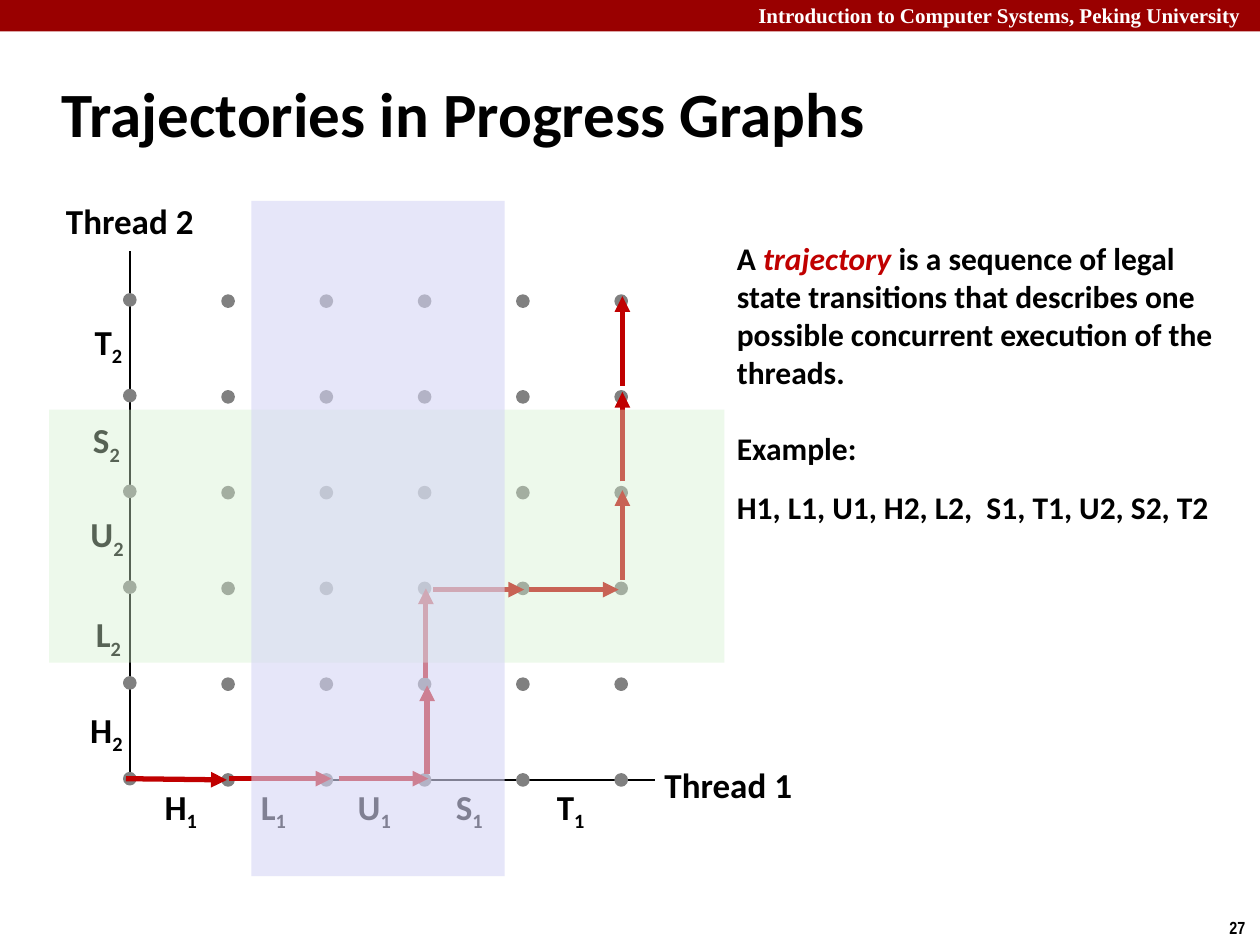
"""Build the slide on trajectories in progress graphs."""
from lxml.etree import SubElement
from pptx import Presentation
from pptx.dml.color import RGBColor
from pptx.enum.shapes import MSO_CONNECTOR as Connector, MSO_SHAPE as Shape
from pptx.enum.text import MSO_ANCHOR as Anchor, PP_ALIGN as Align
from pptx.oxml.ns import qn
from pptx.util import Inches, Pt

COLORS = {
    "black": "000000", "white": "FFFFFF", "banner": "990000", "red": "C00000",
    "dot": "808080", "green": "D5F1CF", "lavender": "D6D6F5",
}
COLORS = {name: RGBColor.from_string(value) for name, value in COLORS.items()}


def add_run(paragraph, text, size, color="black", font="Calibri"):
    run = paragraph.add_run()
    run.text = text
    run.font.name = font
    run.font.size = Pt(size)
    run.font.bold = True
    run.font.color.rgb = COLORS[color]
    return run


def add_line(start, end, color, width):
    line = slide.shapes.add_connector(
        Connector.STRAIGHT, *[Inches(value) for value in (*start, *end)])
    line.line.color.rgb = COLORS[color]
    line.line.width = Pt(width)
    SubElement(line._element.spPr, qn("a:effectLst"))
    return line


presentation = Presentation()
presentation.slide_width = Inches(10)
presentation.slide_height = Inches(7.5)
slide = presentation.slides.add_slide(presentation.slide_layouts[5])

banner = slide.shapes.add_shape(Shape.RECTANGLE, 0, 0, Inches(10), Inches(0.25))
banner.shadow.inherit = False
banner.fill.solid()
banner.fill.fore_color.rgb = COLORS["banner"]
banner.line.fill.background()

title = slide.shapes.title
title.left, title.top = Inches(0.39), Inches(0.48)
title.width, title.height = Inches(8.3), Inches(0.83)
title.text_frame.vertical_anchor = Anchor.MIDDLE
title_paragraph = title.text_frame.paragraphs[0]
title_paragraph.alignment = Align.LEFT
add_run(title_paragraph, "Trajectories in Progress Graphs", 36)

explanation = slide.shapes.add_textbox(
    Inches(5.75), Inches(1.84), Inches(4.17), Inches(2.39))
frame = explanation.text_frame
frame.word_wrap = True
frame.vertical_anchor = Anchor.MIDDLE
definition = frame.paragraphs[0]
add_run(definition, "A ", 18)
add_run(definition, "trajectory", 18, "red").font.italic = True
add_run(definition, " is a sequence of legal state transitions that describes "
        "one possible concurrent execution of the threads.", 18)
for text, gap in [("Example:", 22), ("H1, L1, U1, H2, L2,  S1, T1, U2, S2, T2", 12)]:
    paragraph = frame.add_paragraph()
    paragraph.space_before = Pt(gap)
    add_run(paragraph, text, 18)

origin = (1.03, 6.19)
for axis_end in [(5.2, 6.19), (1.03, 1.99)]:
    add_line(origin, axis_end, "black", 1)

labels = [
    ("Introduction to Computer Systems, Peking University", "", 5.92, -0.03, 4.15, 0.3,
     12, "white", "Times New Roman", Align.LEFT, Anchor.TOP),
    ("27", "", 9.66, 7.23, 0.34, 0.27,
     10, "black", "Arial Narrow", Align.LEFT, Anchor.TOP),
]
axis_style = (20, "black", "Calibri", Align.CENTER, Anchor.MIDDLE)
steps = [
    ("H", 0.47, 1.2, 0.61, 5.59), ("L", 0.42, 1.96, 0.65, 4.83),
    ("U", 0.48, 2.73, 0.61, 4.04), ("S", 0.43, 3.51, 0.63, 3.29),
    ("T", 0.44, 4.31, 0.64, 2.51),
]
for letter, width, bottom_left, side_left, side_top in steps:
    labels.append((letter, "1", bottom_left, 6.2, width, 0.44, *axis_style))
    labels.append((letter, "2", side_left, side_top, width, 0.44, *axis_style))
labels.append(("Thread 1", "", 5.17, 6.01, 1.22, 0.44, *axis_style))
labels.append(("Thread 2", "", 0.42, 1.53, 1.22, 0.44, *axis_style))

for text, subscript, left, top, width, height, size, color, font, align, anchor in labels:
    label = slide.shapes.add_textbox(
        Inches(left), Inches(top), Inches(width), Inches(height))
    label.text_frame.word_wrap = False
    label.text_frame.vertical_anchor = anchor
    paragraph = label.text_frame.paragraphs[0]
    paragraph.alignment = align
    add_run(paragraph, text, size, color, font)
    if subscript:
        run = add_run(paragraph, subscript, size, color, font)
        run.font._element.set("baseline", "-25000")

for column in range(6):
    dots = slide.shapes.add_group_shape()
    first_top = 6.14 if column == 0 else 6.15
    for row in range(6):
        dot = dots.shapes.add_shape(
            Shape.OVAL, Inches(0.99 + 0.78 * column), Inches(first_top - 0.76 * row),
            Inches(0.08), Inches(0.08))
        dot.shadow.inherit = False
        dot.fill.solid()
        dot.fill.fore_color.rgb = COLORS["dot"]
        dot.line.color.rgb = COLORS["dot"]
        dot.line.width = Pt(2)

trajectory = [
    ((1, 6.18), (1.8, 6.19)), ((1.82, 6.18), (2.63, 6.18)),
    ((2.69, 6.18), (3.4, 6.18)), ((3.39, 6.14), (3.39, 5.44)),
    ((3.38, 5.38), (3.38, 4.67)), ((3.44, 4.68), (4.16, 4.68)),
    ((4.2, 4.68), (4.91, 4.68)), ((4.94, 4.6), (4.94, 3.89)),
    ((4.94, 3.82), (4.94, 3.11)), ((4.94, 3.06), (4.94, 2.35)),
]
for start, end in trajectory:
    arrow = add_line(start, end, "red", 3)
    SubElement(arrow.line._get_or_add_ln(), qn("a:tailEnd"), type="triangle")

regions = [(0.39, 3.25, 0, "green", 41), (0.32, 3.27, 90, "lavender", 60)]
for left, top, rotation, color, opacity in regions:
    region = slide.shapes.add_shape(
        Shape.RECTANGLE, Inches(left), Inches(top), Inches(5.36), Inches(2.01))
    region.rotation = rotation
    region.shadow.inherit = False
    region.line.fill.background()
    region.fill.solid()
    region.fill.fore_color.rgb = COLORS[color]
    color_element = region._element.spPr.find(qn("a:solidFill"))[0]
    SubElement(color_element, qn("a:alpha"), val=str(opacity * 1000))

presentation.save("out.pptx")
